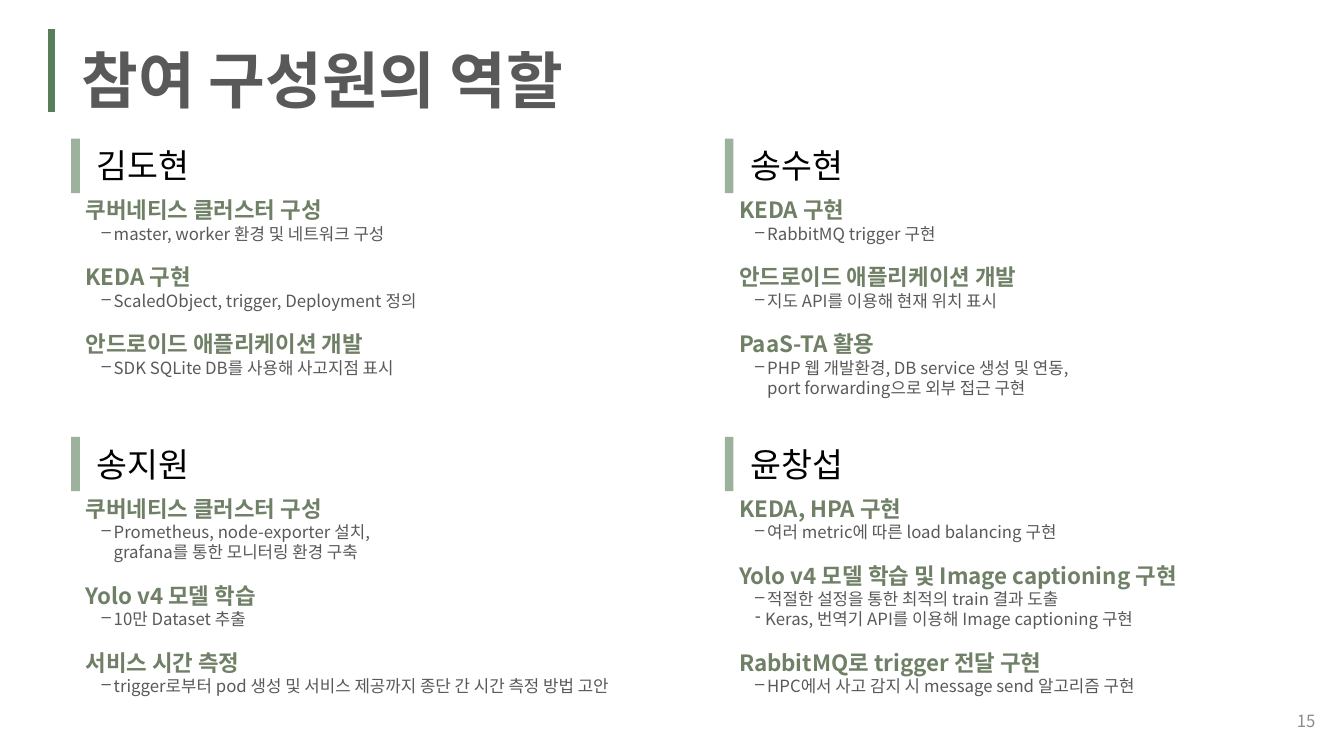
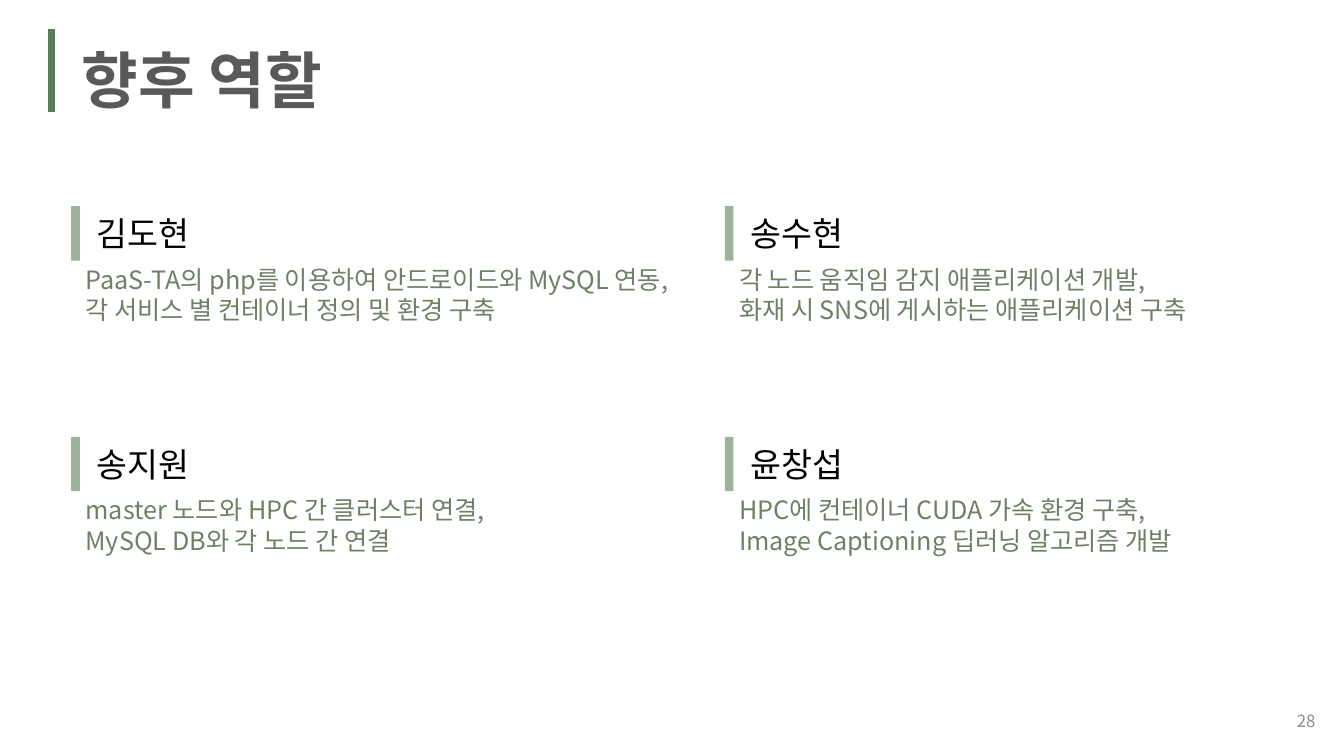
from dataclasses import dataclass

from lxml.etree import SubElement
from pptx import Presentation
from pptx.dml.color import RGBColor
from pptx.enum.shapes import MSO_CONNECTOR as Connector
from pptx.enum.text import MSO_ANCHOR as Anchor, MSO_AUTO_SIZE as AutoSize, PP_ALIGN as Align
from pptx.oxml.ns import qn
from pptx.util import Inches, Pt

COLUMNS, ROWS = 80, 45


@dataclass(frozen=True)
class TextStyle:
    size: int
    color: str
    bold: bool = False
    align: Align = Align.LEFT
    before: float = 0
    margin: float = 0  # inches
    hang: float = 0  # inches
    bullet: str = ""
    spacing: float = 1.0


@dataclass(frozen=True)
class Theme:
    font = "Noto Sans CJK KR"
    rule = "5A7D59"
    title_rule_width = 4.5
    name_rule_width = 6.25
    name_rule_opacity = 59
    gray = "595959"
    green = "6F8066"
    title = TextStyle(44, gray, bold=True, spacing=0.9)
    number = TextStyle(12, "8C8C8C", align=Align.RIGHT)
    name = TextStyle(24, "000000", align=Align.CENTER)
    plan = TextStyle(18, green)
    heading = TextStyle(16, green, bold=True, before=14.3)
    dash = TextStyle(12, gray, margin=0.28, hang=0.12, bullet="–")
    hyphen = TextStyle(12, gray, margin=0.26, hang=0.1, bullet="-")
    more = TextStyle(12, gray, margin=0.28)


class Deck:
    """Holds the theme, the grid and the current slide."""

    def __init__(self, theme):
        self.theme = theme
        self.presentation = Presentation()
        self.presentation.slide_width = Inches(13.33)
        self.presentation.slide_height = Inches(7.5)
        self.column = self.presentation.slide_width / COLUMNS
        self.row = self.presentation.slide_height / ROWS
        self.slide = None

    def box(self, left, top, width, height):
        return (round(left * self.column), round(top * self.row),
                round(width * self.column), round(height * self.row))

    def fill_frame(self, text_frame, lines, anchor=Anchor.TOP):
        """Fill a frame with (style, text) pairs, one paragraph each."""
        text_frame.word_wrap = True
        text_frame.auto_size = AutoSize.NONE
        text_frame.vertical_anchor = anchor
        text_frame.text = "\n".join(text for _, text in lines)
        for index, (paragraph, (style, _)) in enumerate(zip(text_frame.paragraphs, lines)):
            paragraph.alignment = style.align
            paragraph.line_spacing = style.spacing
            paragraph.space_before = Pt(style.before if index else 0)
            properties = paragraph._p.get_or_add_pPr()
            properties.set("marL", str(Inches(style.margin)))
            properties.set("indent", str(-Inches(style.hang)))
            if style.bullet:
                SubElement(properties, qn("a:buChar"), char=style.bullet)
            for run in paragraph.runs:
                run.font.size = Pt(style.size)
                run.font.bold = style.bold
                run.font.color.rgb = RGBColor.from_string(style.color)
                run.font.name = self.theme.font
                SubElement(run._r.get_or_add_rPr(), qn("a:ea"), typeface=self.theme.font)

    def text(self, place, lines, anchor=Anchor.TOP):
        shape = self.slide.shapes.add_textbox(*self.box(*place))
        self.fill_frame(shape.text_frame, lines, anchor)

    def vertical_rule(self, left, top, height, width, opacity=100):
        x, y, _, length = self.box(left, top, 0, height)
        rule = self.slide.shapes.add_connector(Connector.STRAIGHT, x, y, x, y + length)
        rule.line.width = Pt(width)
        rule.line.color.rgb = RGBColor.from_string(self.theme.rule)
        if opacity < 100:
            color = rule.line._ln.find(".//" + qn("a:srgbClr"))
            SubElement(color, qn("a:alpha"), val=str(opacity * 1000))
        SubElement(rule._element.spPr, qn("a:effectLst"))

    def add_slide(self, title, number):
        layout = self.presentation.slide_layouts.get_by_name("Title Only")
        self.slide = self.presentation.slides.add_slide(layout)
        self.vertical_rule(3.06, 1.75, 4.92, self.theme.title_rule_width)
        heading = self.slide.shapes.title
        heading.left, heading.top, heading.width, heading.height = self.box(4.25, 1.7, 43.7, 6.5)
        self.fill_frame(heading.text_frame, [(self.theme.title, title)], Anchor.MIDDLE)
        self.text((60.9, 41.7, 18, 2.4), [(self.theme.number, str(number))], Anchor.MIDDLE)

    def member(self, left, top, name, lines, body_height):
        """A name beside a short rule, with its lines below."""
        theme = self.theme
        self.text((left - 3.36, top + 0.1, 14.76, 3), [(theme.name, name)])
        self.vertical_rule(left, top, 3.24, theme.name_rule_width, theme.name_rule_opacity)
        self.text((left, top + 3.15, 35.8, body_height), lines)

    def members(self, tops, bodies, body_height):
        """Two by two members, row by row."""
        for index, (name, lines) in enumerate(zip(MEMBERS, bodies)):
            row, column = divmod(index, 2)
            self.member((4.5, 43.4)[column], tops[row], name, lines, body_height)


THEME = Theme()
HEADING, DASH, HYPHEN, MORE = THEME.heading, THEME.dash, THEME.hyphen, THEME.more
MEMBERS = ["김도현", "송수현", "송지원", "윤창섭"]

ROLES = [
    [(HEADING, "쿠버네티스 클러스터 구성"),
     (DASH, "master, worker 환경 및 네트워크 구성"),
     (HEADING, "KEDA 구현"),
     (DASH, "ScaledObject, trigger, Deployment 정의"),
     (HEADING, "안드로이드 애플리케이션 개발"),
     (DASH, "SDK SQLite DB를 사용해 사고지점 표시")],
    [(HEADING, "KEDA 구현"),
     (DASH, "RabbitMQ trigger 구현"),
     (HEADING, "안드로이드 애플리케이션 개발"),
     (DASH, "지도 API를 이용해 현재 위치 표시"),
     (HEADING, "PaaS-TA 활용"),
     (DASH, "PHP 웹 개발환경, DB service 생성 및 연동,"),
     (MORE, "port forwarding으로 외부 접근 구현")],
    [(HEADING, "쿠버네티스 클러스터 구성"),
     (DASH, "Prometheus, node-exporter 설치,"),
     (MORE, "grafana를 통한 모니터링 환경 구축"),
     (HEADING, "Yolo v4 모델 학습"),
     (DASH, "10만 Dataset 추출"),
     (HEADING, "서비스 시간 측정"),
     (DASH, "trigger로부터 pod 생성 및 서비스 제공까지 종단 간 시간 측정 방법 고안")],
    [(HEADING, "KEDA, HPA 구현"),
     (DASH, "여러 metric에 따른 load balancing 구현"),
     (HEADING, "Yolo v4 모델 학습 및 Image captioning 구현"),
     (DASH, "적절한 설정을 통한 최적의 train 결과 도출"),
     (HYPHEN, "Keras, 번역기 API를 이용해 Image captioning 구현"),
     (HEADING, "RabbitMQ로 trigger 전달 구현"),
     (DASH, "HPC에서 사고 감지 시 message send 알고리즘 구현")],
]

PLANS = [
    ["PaaS-TA의 php를 이용하여 안드로이드와 MySQL 연동,", "각 서비스 별 컨테이너 정의 및 환경 구축"],
    ["각 노드 움직임 감지 애플리케이션 개발,", "화재 시 SNS에 게시하는 애플리케이션 구축"],
    ["master 노드와 HPC 간 클러스터 연결,", "MySQL DB와 각 노드 간 연결"],
    ["HPC에 컨테이너 CUDA 가속 환경 구축,", "Image Captioning 딥러닝 알고리즘 개발"],
]


def main():
    deck = Deck(THEME)

    # Roles of the members
    deck.add_slide("참여 구성원의 역할", 15)
    deck.members((8.25, 26), ROLES, 12.7)

    # Future roles
    deck.add_slide("향후 역할", 28)
    deck.members((12.27, 26), [[(THEME.plan, text) for text in plan] for plan in PLANS], 6)

    deck.presentation.save("out.pptx")


if __name__ == "__main__":
    main()
